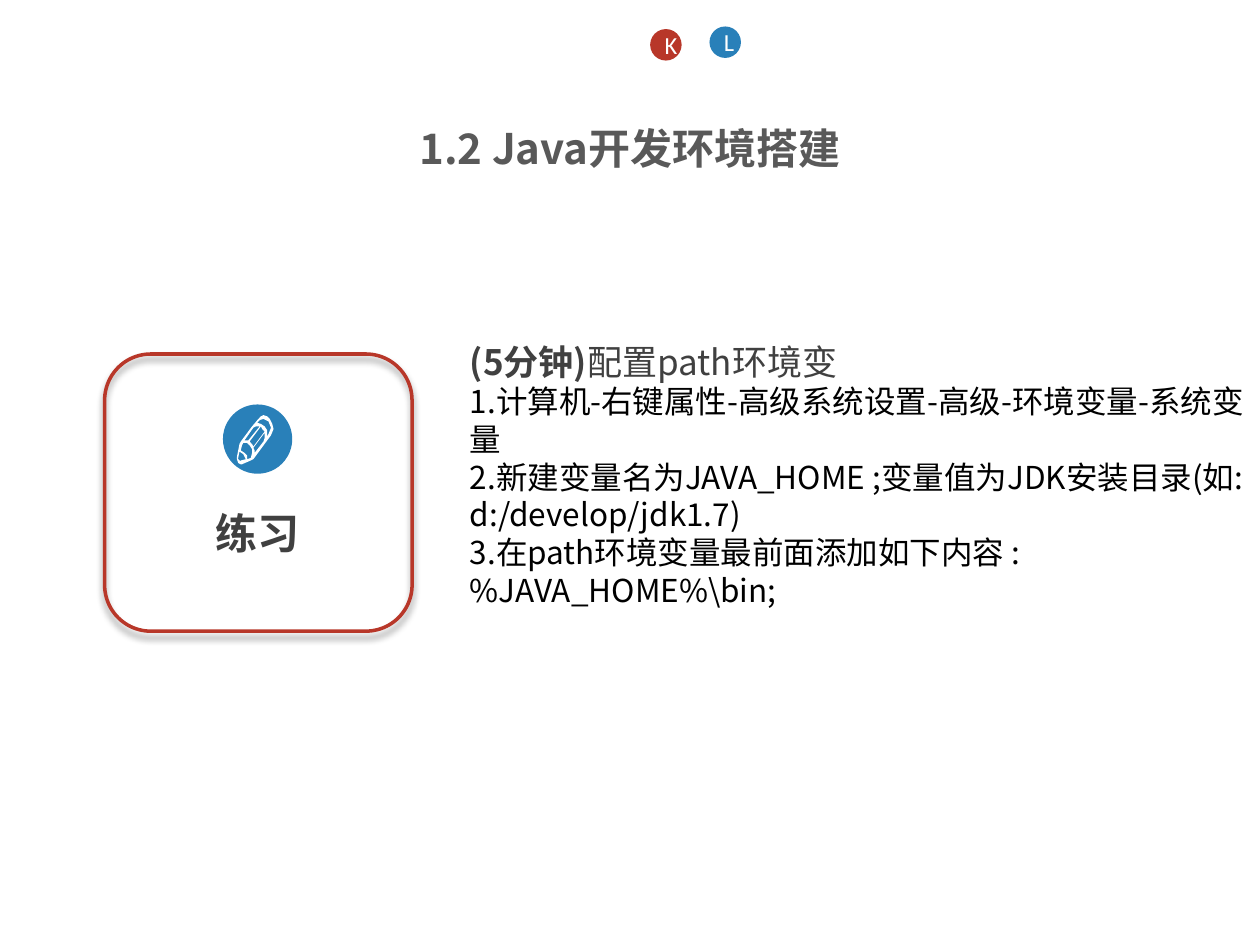
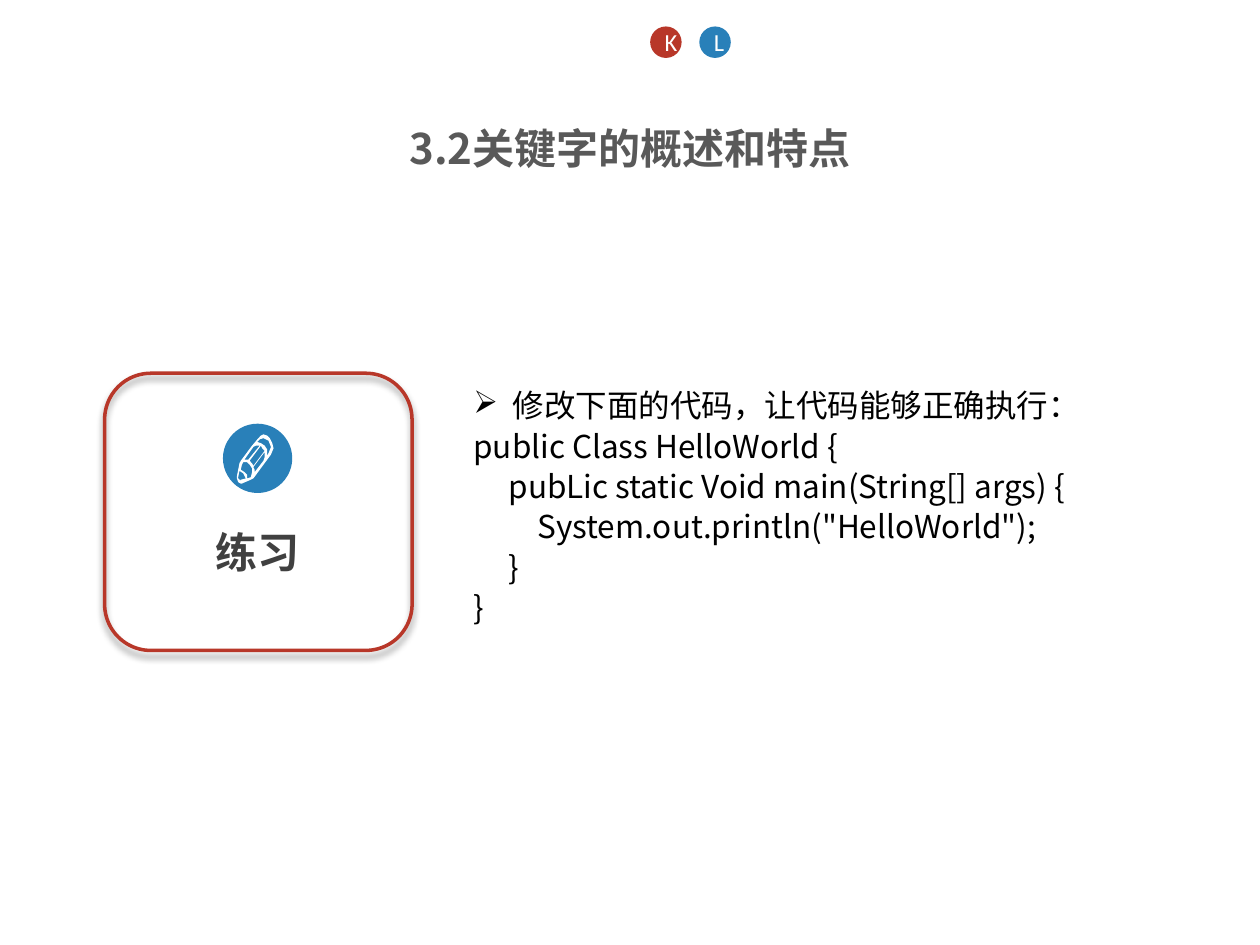
"""Build two Java exercise slides with a shared title, dots and practice badge."""
import pptx
import pptx.util
import pptx.oxml
import pptx.oxml.ns
import pptx.dml.color
import pptx.enum.text
import pptx.enum.shapes

Pt = pptx.util.Pt
Shape = pptx.enum.shapes.MSO_SHAPE
Align = pptx.enum.text.PP_ALIGN
Anchor = pptx.enum.text.MSO_ANCHOR
Fit = pptx.enum.text.MSO_AUTO_SIZE
SPACE = pptx.oxml.ns.nsdecls("a")
HAN = "Noto Sans CJK SC"
RED, BLUE, WHITE, BLACK = "B83729", "2980B9", "FFFFFF", "000000"
DARK, GREY = "404040", "595959"

HEAD = {"size": Pt(24), "bold": True, "name": HAN}
LEAD = {"size": Pt(20), "bold": True, "name": HAN}
BODY = {"size": Pt(18), "bold": False, "name": HAN}
MARK = {"size": Pt(14), "bold": False, "name": "Calibri"}
TIGHT = {"line_spacing": 0.9, "space_after": Pt(3.6)}
LABEL = {"line_spacing": 0.9, "space_before": Pt(4.8), "space_after": Pt(4.8)}
FRAME = {"word_wrap": True, "auto_size": Fit.NONE, "vertical_anchor": Anchor.TOP}

PENCIL = [
    [(26, 3), (23.5, 0.8), (21, 0), (19, 1), (17, 3), (12, 9), (3, 21), (2, 23), (0, 33),
     (0, 35), (1, 38), (3, 39), (4, 39), (11, 36), (13, 35), (27, 16), (29, 11), (28.3, 7)],
    [(25, 15), (24, 17), (24, 16), (23.5, 12), (22, 9), (19, 6.7), (16, 6), (18, 4),
     (21, 3), (25, 5), (27, 10)],
    [(8, 35), (8, 32.5), (6, 30), (3, 28), (4, 24), (5, 22.5), (7.5, 21.5), (10, 24),
     (12, 27), (12.3, 30.5), (11, 34)],
    [(3, 36), (3, 37), (1, 35), (1, 34), (2, 29), (5, 31), (7, 35)],
    [(9, 20), (6, 20), (13, 10), (15, 8.7), (18, 9)],
    [(13, 25), (12, 23), (10, 21), (19, 9), (20, 11), (22, 13)],
    [(14, 29), (14, 27.5), (13, 26), (22, 14), (22, 18), (21, 21), (14, 30)],
]

SLIDES = [
    {"title": "1.2 Java开发环境搭建", "badge": 202.3,
     "dots": [("K", 371.5, 16.6, RED), ("L", 405.4, 15.1, BLUE)],
     "box": (261.4, 190.8, 458.6, 184.3), "para": {},
     "lines": [
         (0, "", [("(5分钟)", DARK, LEAD), ("配置path环境变", DARK, LEAD | {"bold": False})]),
         (0, "", [("1.计算机-右键属性-高级系统设置-高级-环境变量-系统变量", BLACK, BODY)]),
         (0, "", [("2.新建变量名为JAVA_HOME ;变量值为JDK安装目录(如: d:/develop/jdk1.7)", BLACK, BODY)]),
         (0, "", [("3.在path环境变量最前面添加如下内容 : %JAVA_HOME%\\bin;", BLACK, BODY)])]},
    {"title": "3.2关键字的概述和特点", "badge": 213.3,
     "dots": [("K", 371.5, 15.1, RED), ("L", 399.6, 15.1, BLUE)],
     "box": (263.5, 219.6, 456.5, 146.9), "para": TIGHT,
     "lines": [
         (22.5, "➢", [("修改下面的代码，让代码能够正确执行：", BLACK, BODY)]),
         (0, "", [("public Class HelloWorld {", BLACK, BODY)]),
         (20, "", [("pubLic static Void main(String[] args) {", BLACK, BODY)]),
         (36.5, "", [("System.out.println(\"HelloWorld\");", BLACK, BODY)]),
         (20, "", [("}", BLACK, BODY)]),
         (0, "", [("}", BLACK, BODY)])]},
]


def tint(color, value):
    """Give a colour format its hex value."""
    color.rgb = pptx.dml.color.RGBColor.from_string(value)


def write(para, text, color, style):
    """Add one run of styled text."""
    run = para.add_run()
    run.text = text
    for key, value in style.items():
        setattr(run.font, key, value)
    tint(run.font.color, color)
    face = pptx.oxml.parse_xml(f'<a:ea {SPACE} typeface="{style["name"]}"/>')
    run.font._element.append(face)


deck = pptx.Presentation()
deck.slide_width, deck.slide_height = Pt(720), Pt(540)

for page in SLIDES:
    slide = deck.slides.add_slide(deck.slide_layouts[5])
    title = slide.shapes.title
    title.left, title.top, title.width, title.height = Pt(0), Pt(66.2), Pt(720), Pt(33.8)
    for key, value in FRAME.items():
        setattr(title.text_frame, key, value)
    para = title.text_frame.paragraphs[0]
    para.alignment = Align.CENTER
    write(para, page["title"], GREY, HEAD)

    body = slide.shapes.add_textbox(*map(Pt, page["box"])).text_frame
    for key, value in (FRAME | {"auto_size": Fit.SHAPE_TO_FIT_TEXT}).items():
        setattr(body, key, value)
    for row, (indent, bullet, runs) in enumerate(page["lines"]):
        para = body.add_paragraph() if row else body.paragraphs[0]
        for key, value in page["para"].items():
            setattr(para, key, value)
        props = para._p.get_or_add_pPr()
        if indent:
            props.set("marL", str(Pt(indent)))
        if bullet:
            props.set("indent", str(-Pt(indent)))
            props.append(pptx.oxml.parse_xml(f'<a:buChar {SPACE} char="{bullet}"/>'))
        for text, color, style in runs:
            write(para, text, color, style)

    top = page["badge"]
    badge = slide.shapes.add_group_shape().shapes
    label = badge.add_textbox(Pt(115.9), Pt(top + 87.3), Pt(62.6), Pt(32.4)).text_frame
    for key, value in FRAME.items():
        setattr(label, key, value)
    para = label.paragraphs[0]
    for key, value in LABEL.items():
        setattr(para, key, value)
    write(para, "练习", DARK, HEAD)

    disc = badge.add_shape(Shape.OVAL, Pt(127.4), Pt(top + 28.8), Pt(39.6), Pt(39.6))
    pen = badge.build_freeform(*PENCIL[0][0], scale=Pt(0.72))
    for part, points in enumerate(PENCIL):
        if part:
            pen.move_to(*points[0])
        pen.add_line_segments(points[1:], close=True)
    pen = pen.convert_to_shape(Pt(135.4), Pt(top + 34.9))
    for item, color in ((disc, BLUE), (pen, WHITE)):
        item.shadow.inherit = False
        item.fill.solid()
        tint(item.fill.fore_color, color)
        item.line.fill.background()

    card = badge.add_shape(Shape.ROUNDED_RECTANGLE, Pt(59.8), Pt(top), Pt(175.7), Pt(158.4))
    card.fill.background()
    card.line.width = Pt(2)
    tint(card.line.color, RED)
    card._element.spPr.append(pptx.oxml.parse_xml(
        f'<a:effectLst {SPACE}><a:outerShdw blurRad="{Pt(4)}" dist="{Pt(3)}" dir="5400000" '
        f'rotWithShape="0"><a:srgbClr val="{BLACK}"><a:alpha val="40000"/></a:srgbClr>'
        '</a:outerShdw></a:effectLst>'))

    for text, left, high, color in page["dots"]:
        dot = slide.shapes.add_shape(Shape.OVAL, Pt(left), Pt(high), Pt(18), Pt(18))
        dot.shadow.inherit = False
        dot.fill.solid()
        tint(dot.fill.fore_color, color)
        dot.line.fill.background()
        dot.text_frame.vertical_anchor = Anchor.MIDDLE
        para = dot.text_frame.paragraphs[0]
        para.alignment = Align.CENTER
        write(para, text, WHITE, MARK)

deck.save("out.pptx")
